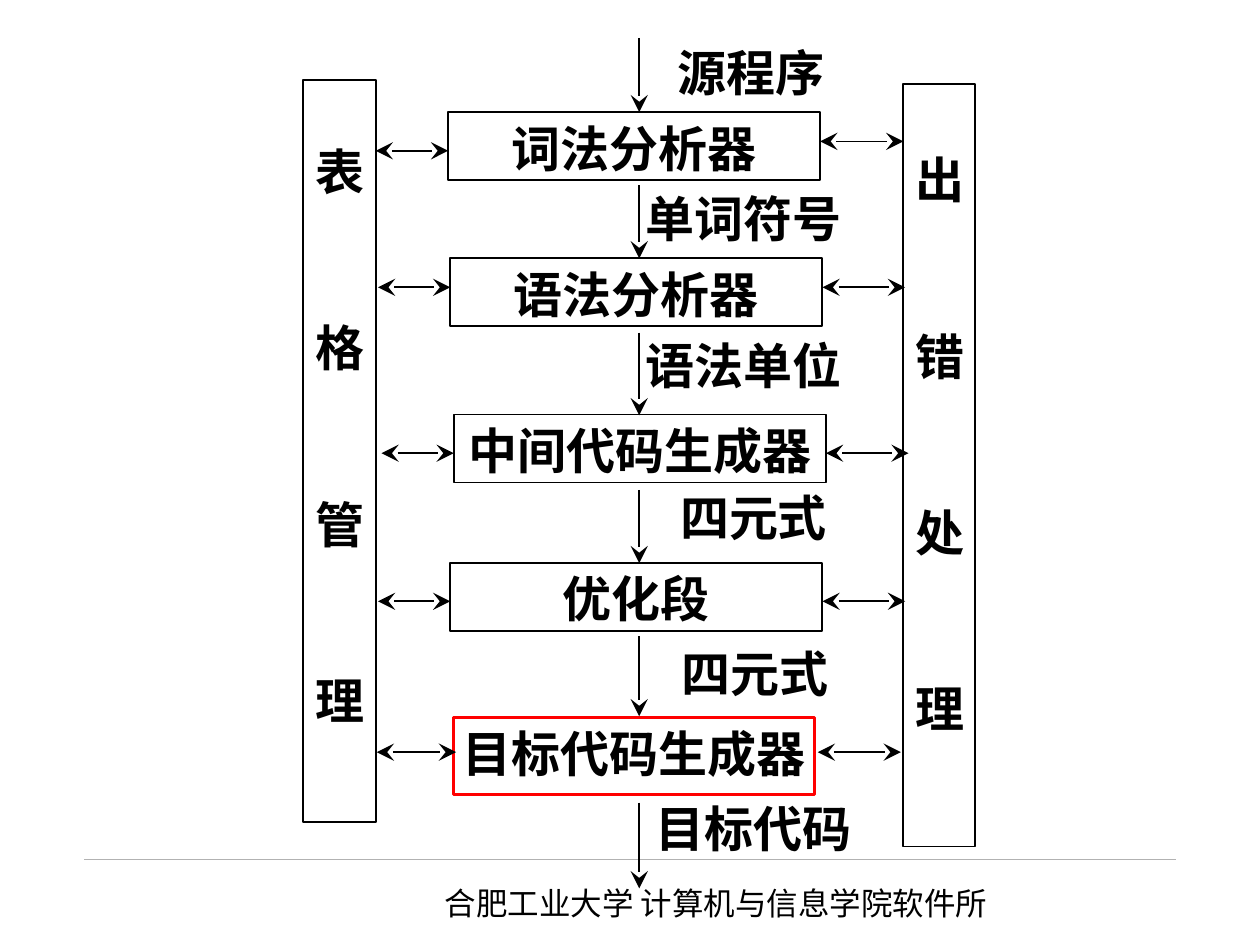
"""Build a slide showing the phases of a compiler and the data passed between them."""
from dataclasses import dataclass

from lxml.etree import SubElement
from pptx import Presentation
from pptx.dml.color import RGBColor
from pptx.enum.shapes import MSO_CONNECTOR, MSO_SHAPE
from pptx.enum.text import MSO_ANCHOR, PP_ALIGN
from pptx.oxml.ns import qn
from pptx.util import Pt


@dataclass(frozen=True)
class Theme:
    ink: RGBColor = RGBColor(0, 0, 0)
    accent: RGBColor = RGBColor(0xFF, 0, 0)
    rule: RGBColor = RGBColor(0xB2, 0xB2, 0xB2)
    latin: str = "Times New Roman"
    cjk: str = "Noto Sans CJK SC"
    size: float = 28
    footer_size: float = 18
    leading: float = 1.2
    line: float = 1
    accent_line: float = 1.75
    rule_line: float = 0.25


@dataclass(frozen=True)
class Box:
    left: float
    top: float
    width: float
    height: float


@dataclass(frozen=True)
class Phase:
    name: str
    box: Box
    left_link: tuple[float, float]
    right_link: tuple[float, float]
    left_y: float
    right_y: float
    font: str
    accent: bool = False


@dataclass(frozen=True)
class Flow:
    label: str
    center: float
    middle: float
    start: float
    end: float


@dataclass(frozen=True)
class Pillar:
    text: str
    box: Box
    inset: float


T = Theme()
AXIS = 365.3
LABEL_WIDTH, LABEL_HEIGHT = 120, 36
PILLAR_GAP = 67.2
PHASES = [
    Phase("词法分析器", Box(256.1, 64.1, 212.6, 38.9), (214.7, 256.1), (468.7, 516.2), 86.2, 80.8, T.latin),
    Phase("语法分析器", Box(257.3, 147.6, 212.6, 38.9), (216, 257.3), (470, 517.2), 164.2, 164.2, T.latin),
    Phase("中间代码生成器", Box(259.3, 236.9, 212.6, 38.9), (218, 259.3), (472, 519.2), 259, 259, T.cjk),
    Phase("优化段", Box(257.3, 321.6, 212.6, 38.9), (216, 257.3), (470, 517.2), 343.6, 343.6, T.cjk),
    Phase("目标代码生成器", Box(259, 410.1, 206.6, 44.1), (215.3, 260.6), (467.3, 514.8), 429.8, 429.8,
          T.cjk, accent=True),
]
FLOWS = [
    Flow("源程序", 429.2, 41, 21.6, 64.1),
    Flow("单词符号", 424.8, 124.7, 105.8, 147.6),
    Flow("语法单位", 424.8, 208.8, 190.1, 237.3),
    Flow("四元式", 430.6, 295.4, 280, 321.8),
    Flow("四元式", 431.3, 384.8, 363.6, 409.3),
    Flow("目标代码", 430.6, 473.2, 458.6, 507.6),
]
PILLARS = [
    Pillar("表格管理", Box(173.2, 45.8, 41.8, 424.1), 35),
    Pillar("出错处理", Box(516.2, 48.2, 41, 435.6), 37.4),
]


def write(sp, lines, *, size: float = T.size, bold: bool = True, font: str = T.latin,
          align=PP_ALIGN.CENTER, anchor=MSO_ANCHOR.TOP, wrap: bool = True,
          inset_x: float = 7.2, inset_top: float = 3.6, inset_bottom: float = 0,
          gap: float = 0) -> None:
    tf = sp.text_frame
    tf.word_wrap, tf.vertical_anchor = wrap, anchor
    tf.margin_left = tf.margin_right = Pt(inset_x)
    tf.margin_top, tf.margin_bottom = Pt(inset_top), Pt(inset_bottom)
    for i, line in enumerate(lines):
        p = tf.add_paragraph() if i else tf.paragraphs[0]
        p.alignment, p.line_spacing = align, Pt(size * T.leading)
        if i:
            p.space_before = Pt(gap)
        r = p.add_run()
        r.text = line
        r.font.size, r.font.bold, r.font.name = Pt(size), bold, font
        r.font.color.rgb = T.ink
        SubElement(r.font._element, qn("a:ea")).set("typeface", T.cjk)


def add_box(s, box: Box, *, color: RGBColor = T.ink, width: float = T.line):
    sp = s.shapes.add_shape(MSO_SHAPE.RECTANGLE, Pt(box.left), Pt(box.top), Pt(box.width), Pt(box.height))
    sp.shadow.inherit = False
    sp.fill.background()
    sp.line.color.rgb, sp.line.width = color, Pt(width)
    return sp


def add_text(s, box: Box):
    return s.shapes.add_textbox(Pt(box.left), Pt(box.top), Pt(box.width), Pt(box.height))


def add_line(s, x1: float, y1: float, x2: float, y2: float, *, color: RGBColor = T.ink,
             width: float = T.line, ends: tuple[str, ...] = ()) -> None:
    sp = s.shapes.add_connector(MSO_CONNECTOR.STRAIGHT, Pt(x1), Pt(y1), Pt(x2), Pt(y2))
    sp.line.color.rgb, sp.line.width = color, Pt(width)
    for end in ends:
        SubElement(sp.line._get_or_add_ln(), qn(f"a:{end}"), type="stealth", w="lg", len="lg")
    SubElement(sp._element.spPr, qn("a:effectLst"))


def add_phase(s, phase: Phase) -> None:
    style = {"color": T.accent, "width": T.accent_line} if phase.accent else {}
    sp = add_box(s, phase.box, **style)
    write(sp, [phase.name], font=phase.font, inset_x=1.4 if phase.accent else 7.2)
    for (x1, x2), y in ((phase.left_link, phase.left_y), (phase.right_link, phase.right_y)):
        add_line(s, x1, y, x2, y, ends=("headEnd", "tailEnd"))


def add_flow(s, flow: Flow) -> None:
    box = Box(flow.center - LABEL_WIDTH / 2, flow.middle - LABEL_HEIGHT / 2, LABEL_WIDTH, LABEL_HEIGHT)
    write(add_text(s, box), [flow.label], anchor=MSO_ANCHOR.MIDDLE, wrap=False, inset_x=0, inset_top=0)
    add_line(s, AXIS, flow.start, AXIS, flow.end, ends=("tailEnd",))


def add_pillar(s, pillar: Pillar) -> None:
    write(add_box(s, pillar.box), pillar.text, inset_top=pillar.inset, gap=PILLAR_GAP)


def main() -> None:
    prs = Presentation()
    prs.slide_width, prs.slide_height = Pt(720), Pt(540)
    s = prs.slides.add_slide(prs.slide_layouts[6])
    add_line(s, 48.2, 491, 671.8, 491, color=T.rule, width=T.rule_line)
    write(add_text(s, Box(247, 501.8, 345.6, 28.8)), ["合肥工业大学 计算机与信息学院软件所"],
          size=T.footer_size, bold=False, font=T.cjk, align=PP_ALIGN.LEFT)
    for pillar in PILLARS:
        add_pillar(s, pillar)
    for phase in PHASES:
        add_phase(s, phase)
    for flow in FLOWS:
        add_flow(s, flow)
    prs.save("out.pptx")


if __name__ == "__main__":
    main()
